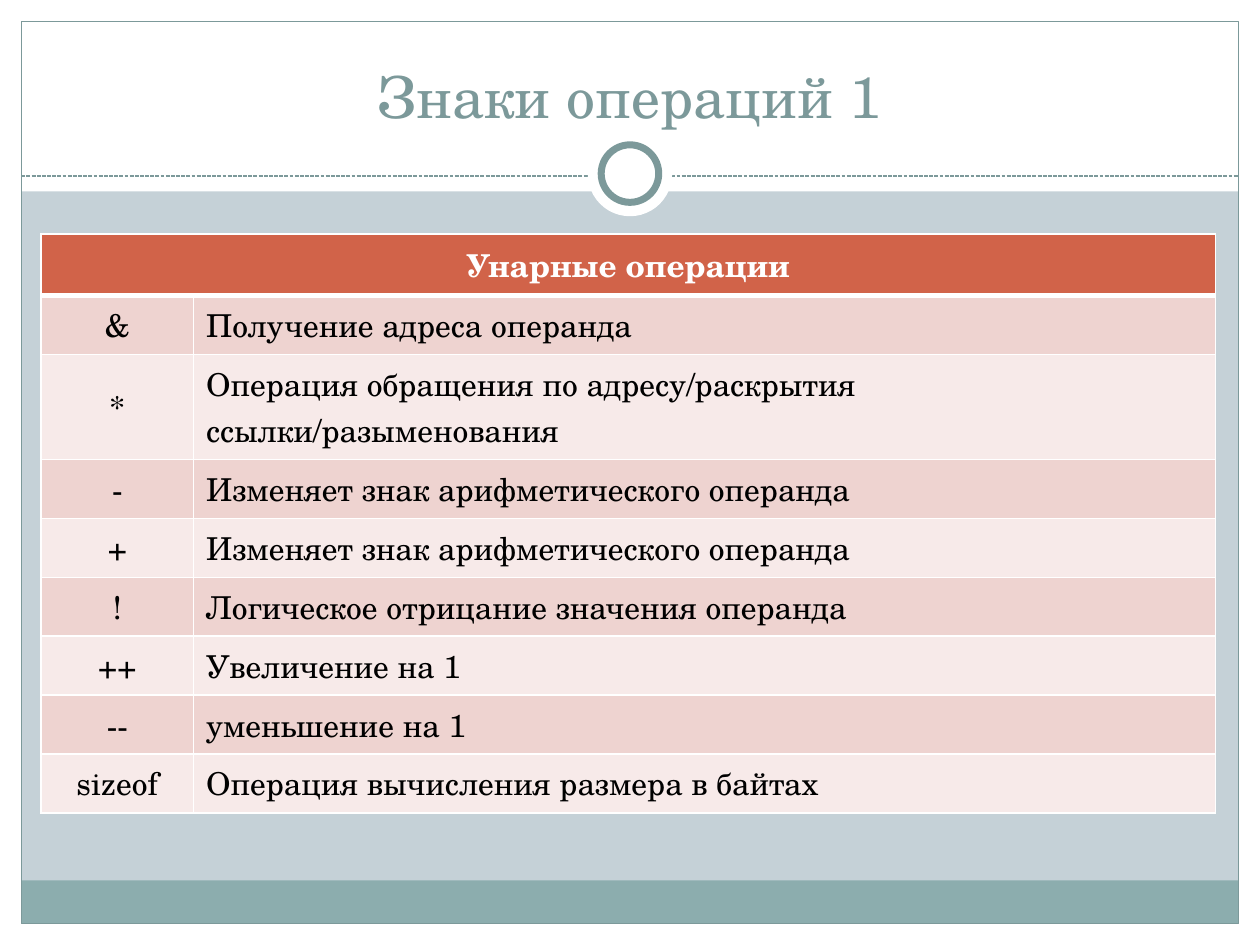
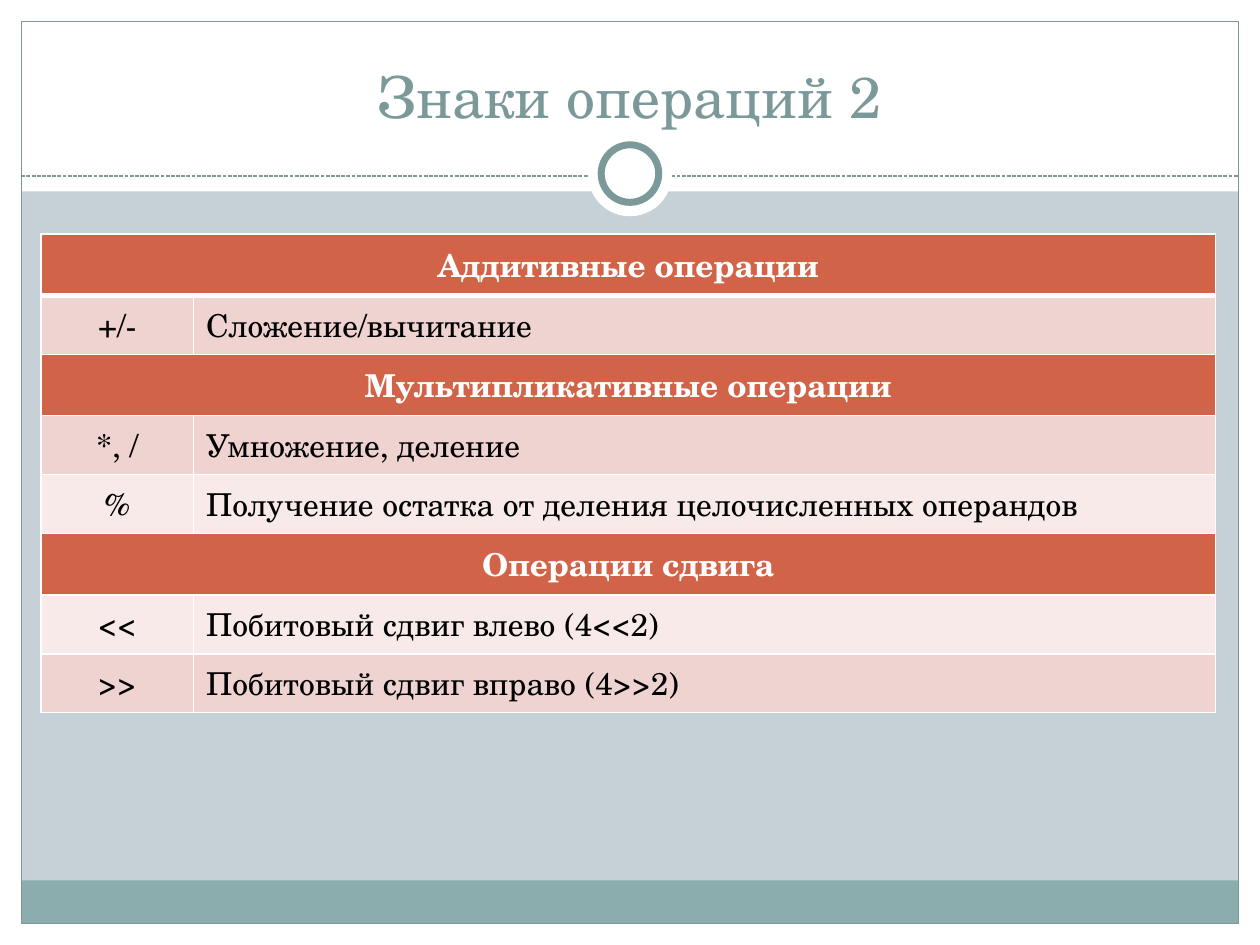
from lxml import etree
from pptx import Presentation
from pptx.dml.color import RGBColor
from pptx.enum.dml import MSO_LINE
from pptx.enum.shapes import MSO_CONNECTOR, MSO_SHAPE
from pptx.enum.text import MSO_ANCHOR, PP_ALIGN
from pptx.oxml.ns import qn
from pptx.util import Cm, Pt

RECTANGLE, OVAL = MSO_SHAPE.RECTANGLE, MSO_SHAPE.OVAL
STRAIGHT = MSO_CONNECTOR.STRAIGHT
SHORT_DASH = MSO_LINE.SQUARE_DOT
LEFT, CENTER = PP_ALIGN.LEFT, PP_ALIGN.CENTER
MIDDLE, BOTTOM = MSO_ANCHOR.MIDDLE, MSO_ANCHOR.BOTTOM

FONT = "TeX Gyre Schola"
WHITE, BLACK = "FFFFFF", "000000"
BACKGROUND, TEAL, FOOTER = "C5D1D7", "7C999A", "8CADAE"
HEADER, BANDS = "D16349", ("F7EAE9", "EED3D0")
WIDTH, HEIGHT, MARGIN = 25.4, 19.05, 0.43
INNER = WIDTH - 2 * MARGIN


def color(hex_text):
    return RGBColor.from_string(hex_text)


def add_text(frame, text, size, hex_text, align, bold=False):
    para = frame.paragraphs[0]
    para.alignment = align
    span = para.add_run()
    span.text = text
    span.font.name = FONT
    span.font.size = Pt(size)
    span.font.bold = bold
    span.font.color.rgb = color(hex_text)


deck = Presentation()
deck.slide_width, deck.slide_height = Cm(WIDTH), Cm(HEIGHT)
background = deck.slide_master.background.fill
background.solid()
background.fore_color.rgb = color(BACKGROUND)

layout = deck.slide_layouts[5]
layout_tree = layout.placeholders[0].element.getparent()

decor = [
    (RECTANGLE, 0, HEIGHT - MARGIN, WIDTH, MARGIN, WHITE, 0),
    (RECTANGLE, 0, 0, WIDTH, 3.86, WHITE, 0),
    (RECTANGLE, 0, 0, MARGIN, HEIGHT, WHITE, 0),
    (RECTANGLE, WIDTH - MARGIN, 0, MARGIN, HEIGHT, WHITE, 0),
    (RECTANGLE, MARGIN, 17.75, INNER, 0.87, FOOTER, 0),
    (RECTANGLE, MARGIN, MARGIN, INNER, HEIGHT - 2 * MARGIN, None, 0.75),
    (STRAIGHT, MARGIN, 3.55, INNER, 0, None, 0.75),
    (OVAL, 11.85, 2.66, 1.7, 1.7, WHITE, 0),
    (OVAL, 12.12, 2.92, 1.16, 1.16, WHITE, 4),
]

tables = [
    ("Знаки операций 1", [
        ("Унарные операции",),
        ("&", "Получение адреса операнда"),
        ("*", "Операция обращения по адресу/раскрытия ссылки/разыменования"),
        ("-", "Изменяет знак арифметического операнда"),
        ("+", "Изменяет знак арифметического операнда"),
        ("!", "Логическое отрицание значения операнда"),
        ("++", "Увеличение на 1"),
        ("--", "уменьшение на 1"),
        ("sizeof", "Операция вычисления размера в байтах"),
    ]),
    ("Знаки операций 2", [
        ("Аддитивные операции",),
        ("+/-", "Сложение/вычитание"),
        ("Мультипликативные операции",),
        ("*, /", "Умножение, деление"),
        ("%", "Получение остатка от деления целочисленных операндов"),
        ("Операции сдвига",),
        ("<<", "Побитовый сдвиг влево (4<<2)"),
        (">>", "Побитовый сдвиг вправо (4>>2)"),
    ]),
]

pages = [deck.slides.add_slide(layout) for _ in tables]

for kind, left, top, width, height, fill, line in decor:
    if kind is STRAIGHT:
        shape = pages[0].shapes.add_connector(
            kind, Cm(left), Cm(top), Cm(left + width), Cm(top + height))
        shape.line.dash_style = SHORT_DASH
    else:
        shape = pages[0].shapes.add_shape(kind, Cm(left), Cm(top), Cm(width), Cm(height))
        shape.shadow.inherit = False
        if fill:
            shape.fill.solid()
            shape.fill.fore_color.rgb = color(fill)
        else:
            shape.fill.background()
    if line:
        shape.line.color.rgb = color(TEAL)
        shape.line.width = Pt(line)
    else:
        shape.line.fill.background()
    if kind is STRAIGHT:
        etree.SubElement(shape.element.spPr, qn("a:effectLst"))
    layout_tree.append(shape.element)

for page, (heading, rows) in zip(pages, tables):
    title = page.shapes.title
    title.left, title.top = Cm(0.84), Cm(0.64)
    title.width, title.height = Cm(23.7), Cm(2.1)
    title.text_frame.vertical_anchor = BOTTOM
    add_text(title.text_frame, heading, 33, TEAL, CENTER)

    table = page.shapes.add_table(
        len(rows), 2, Cm(0.83), Cm(4.72), Cm(23.67), Cm(1.03 * len(rows))).table
    table.columns[0].width, table.columns[1].width = Cm(3.07), Cm(20.6)
    for index, texts in enumerate(rows):
        is_header = len(texts) == 1
        table.rows[index].height = Cm(1.03 if index else 0.56)
        if is_header:
            table.cell(index, 0).merge(table.cell(index, 1))
        for column in range(2):
            cell = table.cell(index, column)
            cell.vertical_anchor = MIDDLE
            properties = cell._tc.get_or_add_tcPr()
            for side in "LRTB":
                thick = (index, side) in ((0, "B"), (1, "T"))
                border = etree.SubElement(
                    properties, qn(f"a:ln{side}"), w=str(Pt(3 if thick else 1)))
                solid = etree.SubElement(border, qn("a:solidFill"))
                etree.SubElement(solid, qn("a:srgbClr"), val=WHITE)
            cell.fill.solid()
            cell.fill.fore_color.rgb = color(HEADER if is_header else BANDS[index % 2])
        for column, text in enumerate(texts):
            add_text(table.cell(index, column).text_frame, text, 18,
                     WHITE if is_header else BLACK,
                     LEFT if column else CENTER, is_header)

deck.save("out.pptx")
